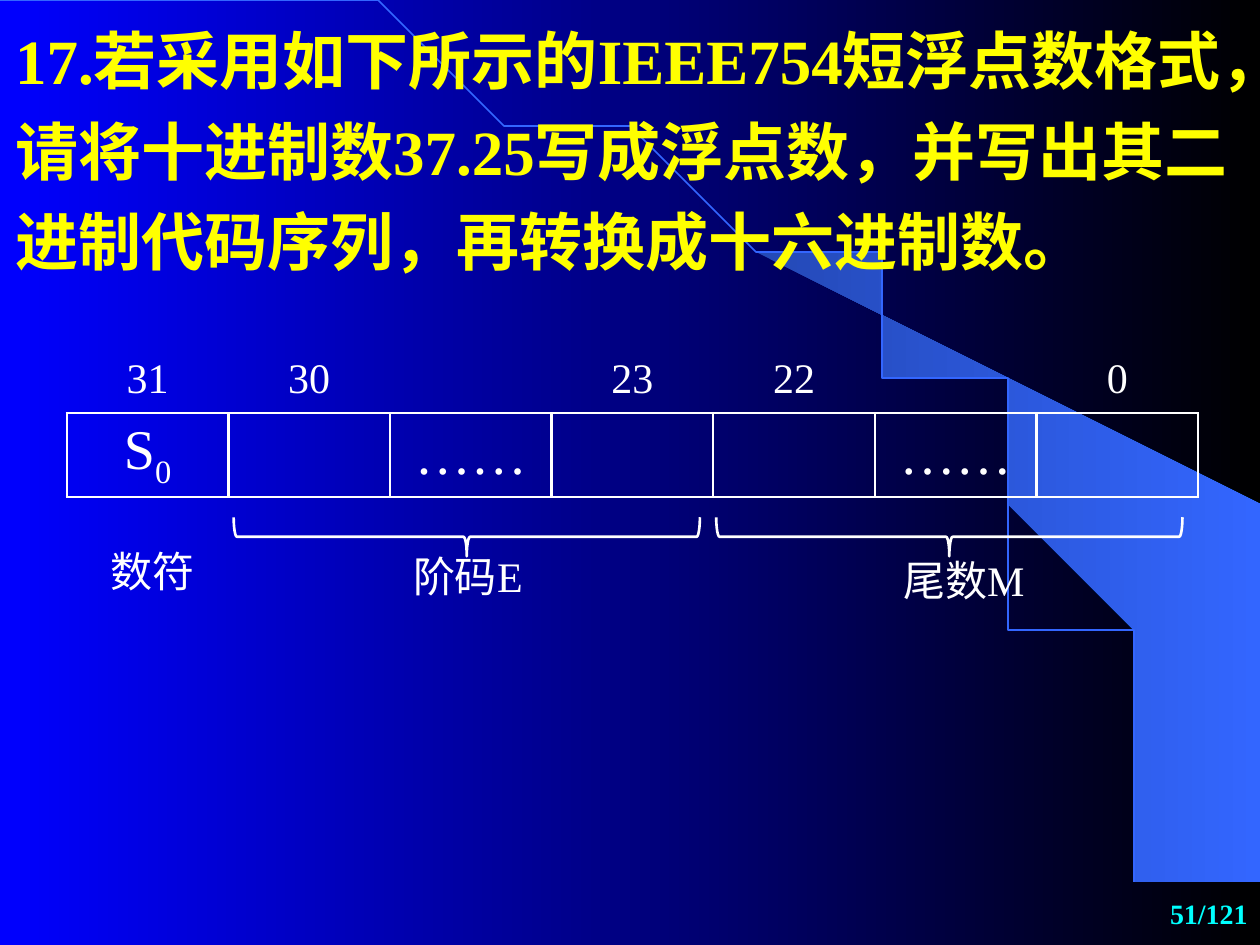
"""Build the slide on the IEEE754 short floating-point format."""
from dataclasses import dataclass
from math import cos, pi, sin

from lxml.etree import SubElement
from pptx import Presentation
from pptx.dml.color import RGBColor
from pptx.enum.shapes import MSO_SHAPE
from pptx.enum.text import MSO_ANCHOR, PP_ALIGN
from pptx.oxml.ns import qn
from pptx.util import Inches, Pt

FONT = "Times New Roman"
WHITE, YELLOW, CYAN, SKY = "FFFFFF", "FFFF00", "00FFFF", "3366FF"
NO_STYLE = "{2D5ABB26-0587-4C30-8999-92F81FD0307C}"
ARC_W, ARC_H = 9.2, 7.49
WEDGE = [(9.2, 7.48), (9.99, 7.49), (9.99, 4.23), (5.89, 1.73), (6.24, 1.99),
         (6.53, 2.22), (6.85, 2.5), (7.16, 2.8), (7.62, 3.3), (8.03, 3.84),
         (8.32, 4.31), (8.58, 4.79), (8.78, 5.28), (8.93, 5.72),
         (9.03, 6.09), (9.13, 6.56), (9.17, 6.96)]


@dataclass
class Label:
    text: str
    left: float
    top: float
    width: float


@dataclass
class Row:
    cells: list
    top: float
    height: float
    size: int
    anchor: MSO_ANCHOR
    bordered: bool


LABELS = [Label("数符", 0.78, 4.28, 0.93), Label("阶码E", 3.18, 4.32, 1.24),
          Label("尾数M", 7.07, 4.35, 1.24)]
ROWS = [Row(["31", "30", "", "23", "22", "", "0"], 2.78, 0.5, 24, MSO_ANCHOR.TOP, False),
        Row(["S_0", "", "……", "", "", "……", ""], 3.28, 0.63, 32, MSO_ANCHOR.MIDDLE, True)]
BRACE_LEFTS = [3.55, 7.38]


def rgb(color: str) -> RGBColor:
    """Turn a hex string into a colour."""
    return RGBColor.from_string(color)


def write(tf, text: str, size=24, color=WHITE, bold=False,
          align=PP_ALIGN.LEFT, spacing=None) -> None:
    """Write one paragraph; the part after an underscore is a subscript."""
    p = tf.paragraphs[0]
    p.alignment = align
    p.line_spacing = spacing
    for i, part in enumerate(text.split("_")):
        r = p.add_run()
        r.text = part
        r.font.name, r.font.size, r.font.bold = FONT, Pt(size), bold
        r.font.color.rgb = rgb(color)
        if i:
            r.font._element.set("baseline", "-25000")


def add_text(s, label: Label, height=0.5, anchor=MSO_ANCHOR.TOP, **fmt) -> None:
    """Add a wrapping text box."""
    tf = s.shapes.add_textbox(Inches(label.left), Inches(label.top),
                              Inches(label.width), Inches(height)).text_frame
    tf.word_wrap = True
    tf.vertical_anchor = anchor
    write(tf, label.text, **fmt)


def set_gradient(fill, first: str, last: str) -> None:
    """Fill from left to right with two colours."""
    fill.gradient()
    fill.gradient_angle = 0
    for stop, color, position in zip(fill.gradient_stops, (first, last), (0, 1)):
        stop.color.rgb = rgb(color)
        stop.position = position


def add_outline(s, points: list, close: bool):
    """Add a freeform through points given in inches."""
    builder = s.shapes.build_freeform(*points[0], scale=Inches(1))
    builder.add_line_segments(points[1:], close=close)
    sp = builder.convert_to_shape()
    sp.shadow.inherit = False
    return sp


def add_backdrop(s) -> None:
    """Draw the background, the wedge and the large arc."""
    set_gradient(s.background.fill, "0000FF", "000000")
    wedge = add_outline(s, WEDGE, True)
    set_gradient(wedge.fill, "2449B6", SKY)
    wedge.line.fill.background()
    angles = [i * pi / 120 for i in range(61)]
    arc = add_outline(s, [(ARC_W * sin(a), ARC_H * (1 - cos(a))) for a in angles], False)
    arc.fill.background()
    arc.line.color.rgb = rgb(SKY)
    arc.line.width = Pt(1)


def add_title(s, text: str) -> None:
    """Place the title in front of the backdrop."""
    title = s.shapes.title
    s.shapes._spTree.append(title._element)
    title.left, title.top = Inches(0.02), Inches(0)
    title.width, title.height = Inches(10), Inches(2.21)
    tf = title.text_frame
    tf.word_wrap = True
    tf.vertical_anchor = MSO_ANCHOR.TOP
    write(tf, text, size=36, color=YELLOW, bold=True, spacing=1.2)


def add_borders(cell) -> None:
    """Draw all four sides of a cell in white."""
    tc_pr = cell._tc.get_or_add_tcPr()
    for side in ("lnL", "lnR", "lnT", "lnB"):
        ln = SubElement(tc_pr, qn(f"a:{side}"), w=str(Pt(1.5)))
        SubElement(SubElement(ln, qn("a:solidFill")), qn("a:srgbClr"), val=WHITE)


def add_row(s, row: Row) -> None:
    """Add a one-row table with equal columns."""
    frame = s.shapes.add_table(1, len(row.cells), Inches(0.53), Inches(row.top),
                               Inches(8.98), Inches(row.height))
    table = frame.table
    table.first_row = table.horz_banding = False
    table._tbl.tblPr.find(qn("a:tableStyleId")).text = NO_STYLE
    for cell, text in zip(table.iter_cells(), row.cells):
        if row.bordered:
            add_borders(cell)
        cell.fill.background()
        cell.vertical_anchor = row.anchor
        if text:
            write(cell.text_frame, text, size=row.size, align=PP_ALIGN.CENTER)


def add_brace(s, left: float) -> None:
    """Add a brace that points down."""
    sp = s.shapes.add_shape(MSO_SHAPE.LEFT_BRACE, Inches(left), Inches(2.41),
                            Inches(0.31), Inches(3.7))
    sp.rotation = 270
    sp.shadow.inherit = False
    sp.fill.background()
    sp.line.color.rgb = rgb(WHITE)
    sp.line.width = Pt(1.5)


def main() -> None:
    """Build and save the slide."""
    prs = Presentation()
    prs.slide_width, prs.slide_height = Inches(10), Inches(7.5)
    s = prs.slides.add_slide(prs.slide_layouts[5])
    add_backdrop(s)
    add_title(s, "17.若采用如下所示的IEEE754短浮点数格式，请将十进制数37.25写成浮点数，"
                 "并写出其二进制代码序列，再转换成十六进制数。")
    for row in ROWS:
        add_row(s, row)
    for left in BRACE_LEFTS:
        add_brace(s, left)
    for label in LABELS:
        add_text(s, label)
    add_text(s, Label("51/121", 8.78, 7, 1.22), anchor=MSO_ANCHOR.MIDDLE,
             size=16, color=CYAN, bold=True, align=PP_ALIGN.RIGHT)
    prs.save("out.pptx")


if __name__ == "__main__":
    main()
